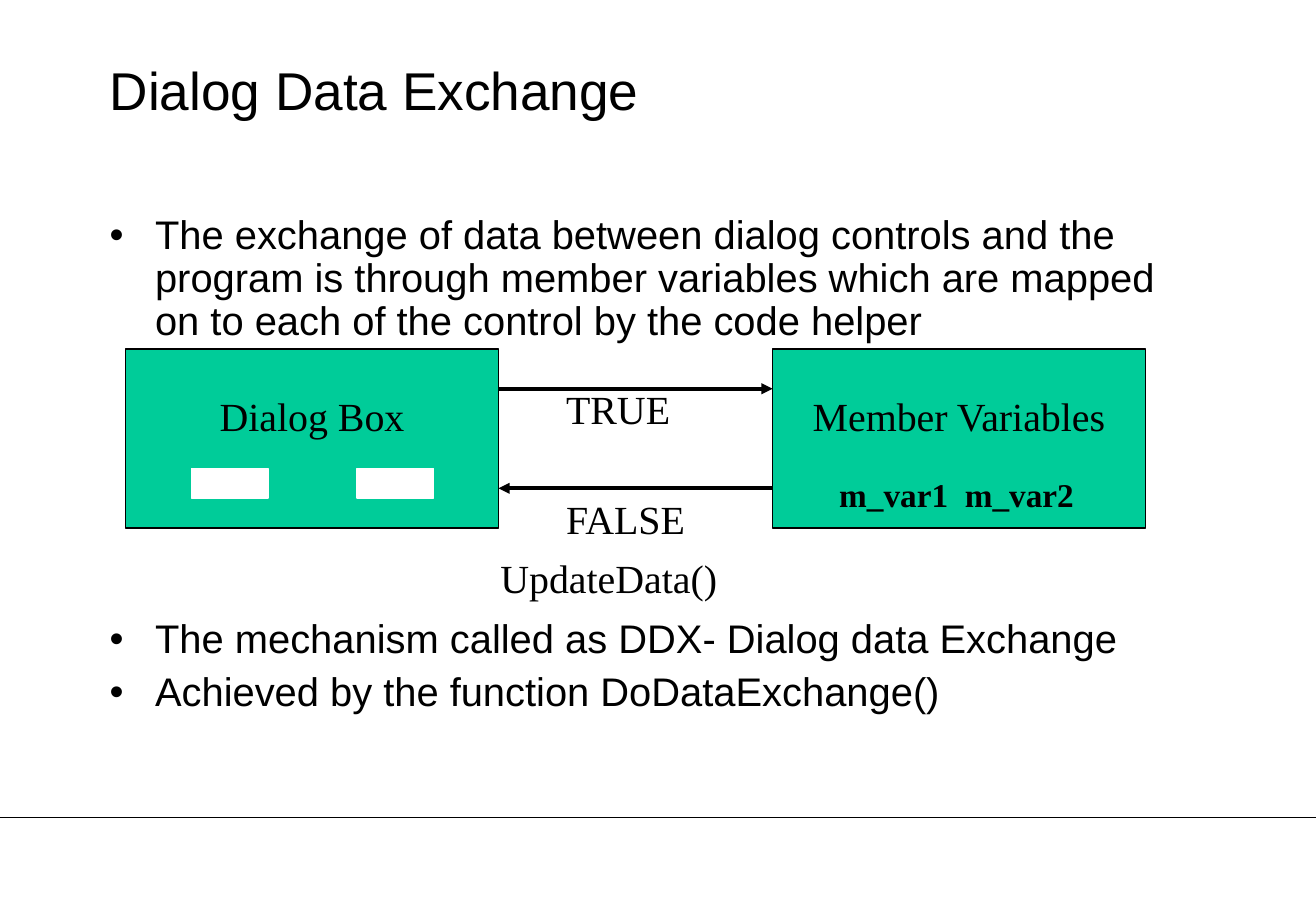
from lxml.etree import SubElement
from pptx import Presentation
from pptx.dml.color import RGBColor
from pptx.enum.shapes import MSO_CONNECTOR, MSO_SHAPE
from pptx.enum.text import MSO_ANCHOR, MSO_AUTO_SIZE, PP_ALIGN
from pptx.oxml.ns import qn
from pptx.util import Inches, Pt

BLACK, WHITE, GREEN = "000000", "FFFFFF", "00CC99"
SANS, SERIF = "Arial", "Times New Roman"
COLUMNS, ROWS = 132, 90

TITLE = ("Dialog Data Exchange", (9.8, 3, 102, 12))
BODY_AREA = (9.8, 21, 112.2, 54)
BULLETS = [
    ("The exchange of data between dialog controls and the program is through "
     "member variables which are mapped on to each of the control by the code helper", 0),
    ("The mechanism called as DDX- Dialog data Exchange", 165.5),
    ("Achieved by the function DoDataExchange()", 6),
]
PANELS = [("Dialog Box", 12.6), ("Member Variables", 77.5)]
FIELD_COLUMNS = [19.2, 35.8]
VARIABLES = ("m_var1\tm_var2", (83, 47, 29.8, 5.3))
LABELS = [
    ("UpdateData()", (49, 55, 28.6, 6)),
    ("TRUE", (55.6, 38, 18.7, 6)),
    ("FALSE", (55.6, 49, 18.7, 6)),
]
ARROWS = [((50, 39), (77.5, 39)), ((77.5, 49), (50, 49))]
FOOTER_RULE = ((0, 82), (COLUMNS, 82))

deck = Presentation()
deck.slide_width, deck.slide_height = Inches(11), Inches(7.5)
page = deck.slides.add_slide(deck.slide_layouts[1])


def color(value):
    """Turn a hex string into a colour."""
    return RGBColor.from_string(value)


def place(*cells):
    """Turn alternating columns and rows into slide lengths."""
    units = (deck.slide_width / COLUMNS, deck.slide_height / ROWS)
    return [round(cell * units[index % 2]) for index, cell in enumerate(cells)]


def write(para, text, font=SERIF, size=24, bold=False, align=PP_ALIGN.LEFT,
          before=0, spacing=1.0, bullet=None, tab=None):
    """Fill a paragraph with formatted text."""
    properties = para._p.get_or_add_pPr()
    if bullet:
        properties.set("marL", str(Inches(0.38)))
        properties.set("indent", str(-Inches(0.38)))
        SubElement(properties, qn("a:buFont"), typeface=font)
        SubElement(properties, qn("a:buChar"), char=bullet)
    if tab:
        stops = SubElement(properties, qn("a:tabLst"))
        SubElement(stops, qn("a:tab"), pos=str(Inches(tab)), algn="l")
    para.alignment, para.line_spacing, para.space_before = align, spacing, Pt(before)
    span = para.add_run()
    span.text = text
    span.font.name, span.font.size, span.font.bold = font, Pt(size), bold
    span.font.color.rgb = color(BLACK)


def add_placeholder(shape, area, anchor):
    """Move a placeholder and return its text frame."""
    shape.left, shape.top, shape.width, shape.height = place(*area)
    frame = shape.text_frame
    frame.auto_size, frame.vertical_anchor = MSO_AUTO_SIZE.NONE, anchor
    return frame


def add_rectangle(area, fill, line):
    """Draw a filled rectangle."""
    box = page.shapes.add_shape(MSO_SHAPE.RECTANGLE, *place(*area))
    box.shadow.inherit = False
    box.fill.solid()
    box.fill.fore_color.rgb = color(fill)
    box.line.color.rgb = color(line)
    box.line.width = Pt(1)
    return box


def add_label(text, area, **style):
    """Add a wrapped text box."""
    frame = page.shapes.add_textbox(*place(*area)).text_frame
    frame.word_wrap = True
    write(frame.paragraphs[0], text, **style)


def add_line(start, end, width, arrow=False):
    """Draw a straight line, with an optional arrowhead at its end."""
    line = page.shapes.add_connector(MSO_CONNECTOR.STRAIGHT, *place(*start, *end))
    line.line.color.rgb = color(BLACK)
    line.line.width = Pt(width)
    if arrow:
        SubElement(line.line._get_or_add_ln(), qn("a:tailEnd"), type="triangle")
    SubElement(line._element.spPr, qn("a:effectLst"))


add_line(*FOOTER_RULE, width=0.75)
title_text, title_area = TITLE
title = add_placeholder(page.shapes.title, title_area, MSO_ANCHOR.MIDDLE)
write(title.paragraphs[0], title_text, font=SANS, size=32)

body = add_placeholder(page.placeholders[1], BODY_AREA, MSO_ANCHOR.TOP)
for index, (text, before) in enumerate(BULLETS):
    para = body.add_paragraph() if index else body.paragraphs[0]
    write(para, text, font=SANS, before=before, spacing=0.9, bullet="•")

for text, column in PANELS:
    frame = add_rectangle((column, 35, 37.4, 18), GREEN, BLACK).text_frame
    frame.word_wrap, frame.vertical_anchor = False, MSO_ANCHOR.MIDDLE
    frame.margin_bottom = Inches(0.43)
    write(frame.paragraphs[0], text, align=PP_ALIGN.CENTER)

for column in FIELD_COLUMNS:
    add_rectangle((column, 47, 7.7, 3), WHITE, WHITE)

add_label(*VARIABLES, size=20, bold=True, tab=1.05)
for start, end in ARROWS:
    add_line(start, end, width=2.25, arrow=True)
for text, area in LABELS:
    add_label(text, area)

deck.save("out.pptx")
